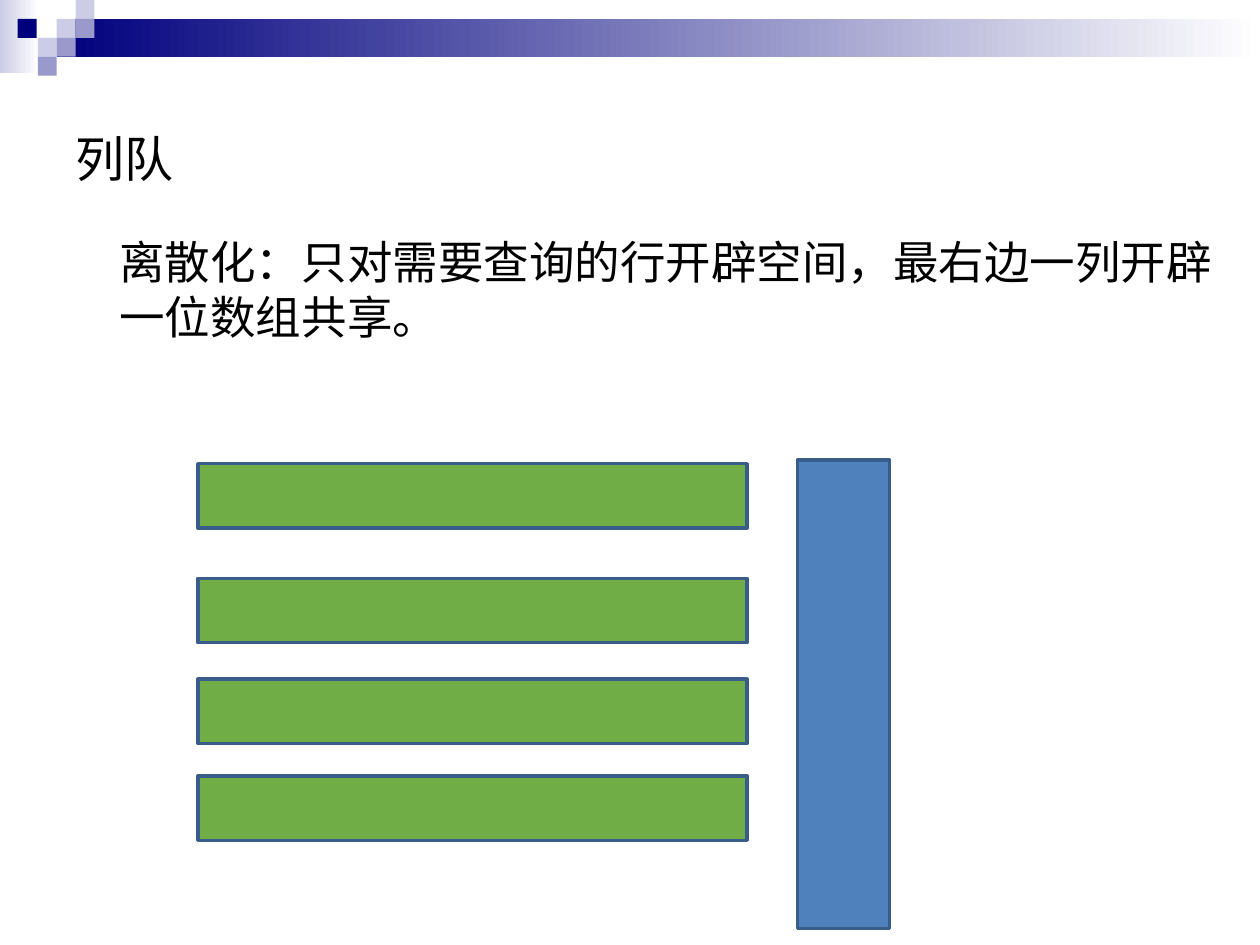
from dataclasses import dataclass

from lxml.etree import SubElement
from pptx import Presentation
from pptx.dml.color import RGBColor
from pptx.enum.shapes import MSO_SHAPE
from pptx.enum.text import MSO_ANCHOR, MSO_AUTO_SIZE, PP_ALIGN
from pptx.oxml.ns import qn
from pptx.util import Inches, Pt

FONT = "Noto Sans CJK SC"
NAVY, LILAC, VIOLET, WHITE = "00007D", "CCCCE6", "9999CC", "FFFFFF"
GREEN, BLUE, OUTLINE = "70AD47", "4F81BD", "385D8A"


@dataclass
class Block:
    left: float
    top: float
    width: float
    height: float
    fill: str
    fade_to: str = ""
    outline: str = ""


TILE = 0.15
BANDS = [
    Block(0, 0, 0.31, 0.58, LILAC, fade_to=WHITE),
    Block(0.45, 0.15, 9.55, 0.3, NAVY, fade_to=WHITE),
]
TILES = [
    Block(left, top, TILE, TILE, fill)
    for left, top, fill in [
        (0.45, 0.15, LILAC),
        (0.6, 0, LILAC),
        (0.6, 0.15, VIOLET),
        (0.3, 0.3, LILAC),
        (0.14, 0.15, NAVY),
        (0.45, 0.3, VIOLET),
        (0.3, 0.45, VIOLET),
    ]
]
COLUMN = Block(6.33, 3.65, 0.73, 3.72, BLUE, outline=OUTLINE)
ROWS = [
    Block(1.57, top, 4.36, 0.51, GREEN, outline=OUTLINE)
    for top in (3.68, 4.59, 5.39, 6.16)
]


def color(value: str) -> RGBColor:
    return RGBColor.from_string(value)


def draw_block(slide, block: Block) -> None:
    shape = slide.shapes.add_shape(
        MSO_SHAPE.RECTANGLE,
        Inches(block.left),
        Inches(block.top),
        Inches(block.width),
        Inches(block.height),
    )
    shape.shadow.inherit = False
    if block.fade_to:
        shape.fill.gradient()
        shape.fill.gradient_angle = 0
        for stop, value in zip(shape.fill.gradient_stops, (block.fill, block.fade_to)):
            stop.color.rgb = color(value)
    else:
        shape.fill.solid()
        shape.fill.fore_color.rgb = color(block.fill)
    if block.outline:
        shape.line.color.rgb = color(block.outline)
        shape.line.width = Pt(2)
    else:
        shape.line.fill.background()


def write_text(box, text: str, size: float, anchor: MSO_ANCHOR) -> None:
    frame = box.text_frame
    frame.text = text
    frame.word_wrap = True
    frame.auto_size = MSO_AUTO_SIZE.NONE
    frame.vertical_anchor = anchor
    para = frame.paragraphs[0]
    para.alignment = PP_ALIGN.LEFT
    for span in para.runs:
        span.font.size = Pt(size)
        span.font.name = FONT
        span.font.color.rgb = color("000000")
        SubElement(span.font._element, qn("a:ea"), typeface=FONT)


def main() -> None:
    """Build the queue slide and save it."""
    deck = Presentation()
    deck.slide_width, deck.slide_height = Inches(10), Inches(7.5)
    page = deck.slides.add_slide(deck.slide_layouts[5])

    for block in BANDS + TILES:
        draw_block(page, block)

    body = page.shapes.add_textbox(Inches(0.85), Inches(1.8), Inches(9), Inches(1.11))
    write_text(
        body,
        "离散化：只对需要查询的行开辟空间，最右边一列开辟一位数组共享。",
        26,
        MSO_ANCHOR.TOP,
    )
    body.text_frame.paragraphs[0].line_spacing = Pt(31.5)

    title = page.shapes.title
    title.left, title.top = Inches(0.5), Inches(0.5)
    title.width, title.height = Inches(9), Inches(1.5)
    write_text(title, "列队", 28, MSO_ANCHOR.MIDDLE)

    for block in [COLUMN, *ROWS]:
        draw_block(page, block)

    deck.save("out.pptx")


if __name__ == "__main__":
    main()
